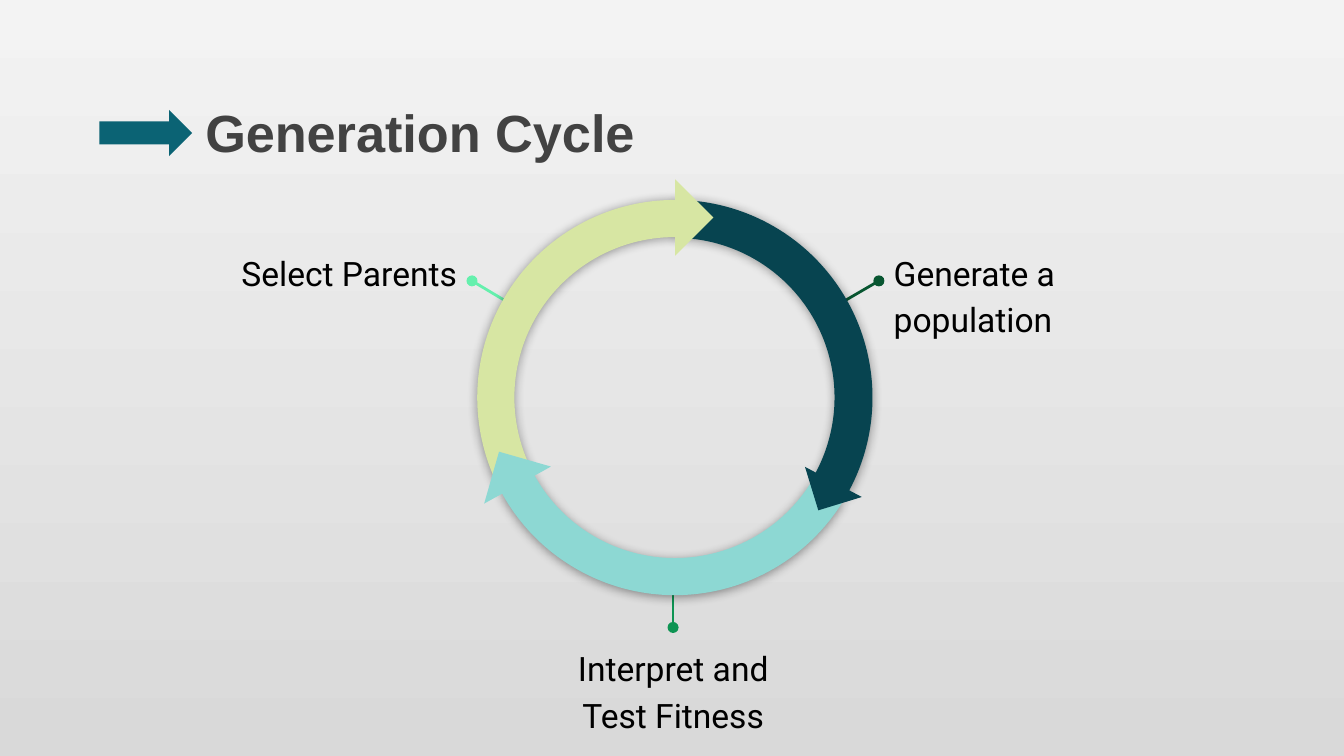
from lxml import etree
from pptx import Presentation
from pptx.dml.color import RGBColor
from pptx.enum.shapes import MSO_CONNECTOR, MSO_SHAPE
from pptx.enum.text import MSO_ANCHOR, PP_ALIGN
from pptx.oxml.ns import qn
from pptx.util import Cm, Pt

STRAIGHT = MSO_CONNECTOR.STRAIGHT
RIGHT_ARROW = MSO_SHAPE.RIGHT_ARROW
BLOCK_ARC = MSO_SHAPE.BLOCK_ARC
RIGHT_TRIANGLE = MSO_SHAPE.RIGHT_TRIANGLE
TOP = MSO_ANCHOR.TOP
LEFT, CENTER, RIGHT = PP_ALIGN.LEFT, PP_ALIGN.CENTER, PP_ALIGN.RIGHT

NAVY, LIME, AQUA = "074450", "D7E6A3", "8DD8D3"


def color(value):
    return RGBColor.from_string(value)


def add_filled(page, kind, box, fill, rotation=0):
    shape = page.shapes.add_shape(kind, *map(Cm, box))
    shape.shadow.inherit = False
    shape.fill.solid()
    shape.fill.fore_color.rgb = color(fill)
    shape.line.fill.background()
    shape.rotation = rotation
    return shape


def add_text(page, box, text, font, size, ink, align=LEFT, spacing=1.0, bold=False):
    frame = page.shapes.add_textbox(*map(Cm, box)).text_frame
    frame.word_wrap = True
    frame.vertical_anchor = TOP
    frame.margin_left = frame.margin_right = Cm(0.25)
    frame.margin_top = frame.margin_bottom = Cm(0.25)
    frame.text = text
    para = frame.paragraphs[0]
    para.alignment = align
    para.line_spacing = spacing
    span = para.runs[0]
    span.font.name = font
    span.font.size = Pt(size)
    span.font.bold = bold
    span.font.color.rgb = color(ink)


def add_soft_shadow(shape):
    effects = shape._element.spPr.find(qn("a:effectLst"))
    shadow = etree.SubElement(effects, qn("a:outerShdw"), blurRad=str(Pt(5.6)),
                              dist=str(Pt(0.8)), dir="5400000", rotWithShape="0")
    ink = etree.SubElement(shadow, qn("a:srgbClr"), val="000000")
    etree.SubElement(ink, qn("a:alpha"), val="40000")


def paint_background(page):
    fill = page.background.fill
    fill.gradient()
    fill.gradient_angle = 270
    for stop, shade in zip(fill.gradient_stops, ("F3F3F3", "D9D9D9")):
        stop.color.rgb = color(shade)


def add_heading(page, box, text):
    left, top, width, height = box
    add_filled(page, RIGHT_ARROW, (left, top + 0.43, 1.75, 0.87), "0B6374")
    add_text(page, (left + 1.75, top, width - 1.75, height), text,
             "Arial", 28, "424242", bold=True)


def add_callout(page, box, text, align, dot, tip, ink):
    left, top = box[:2]
    line = page.shapes.add_connector(STRAIGHT, Cm(left + dot[0]), Cm(top + dot[1]),
                                     Cm(left + tip[0]), Cm(top + tip[1]))
    line.line.color.rgb = color(ink)
    line.line.width = Pt(1.5)
    etree.SubElement(line.line._get_or_add_ln(), qn("a:headEnd"), type="oval")
    etree.SubElement(line._element.spPr, qn("a:effectLst"))
    add_text(page, box, text, "Roboto", 18, "000000", align, 1.15)


def add_cycle(page, box):
    left, top = box[:2]

    def add_arc(fill, rotation, adjustments, flipped):
        arc = add_filled(page, BLOCK_ARC, box, fill, rotation)
        for index, value in enumerate(adjustments):
            arc.adjustments[index] = value
        if flipped:
            arc._element.spPr.xfrm.set("flipH", "1")
        add_soft_shadow(arc)

    def add_head(fill, rotation, across, down, size):
        add_filled(page, RIGHT_TRIANGLE, (left + across, top + down, size, size),
                   fill, rotation)

    add_arc(NAVY, 30, (144.14, 0.01, 0.096), False)
    add_arc(LIME, 330, (143.49, 214.73, 0.094), True)
    add_head(LIME, 225, 3.23, -0.18, 1.02)
    add_arc(AQUA, 210, (143.16, 215.03, 0.094), True)
    add_head(NAVY, 342.9, 6.3, 4.9, 0.86)
    add_head(AQUA, 106, 0.25, 4.88, 1.02)


def main():
    deck = Presentation()
    deck.slide_width, deck.slide_height = Cm(25.4), Cm(14.29)
    page = deck.slides.add_slide(deck.slide_layouts[6])
    paint_background(page)
    add_heading(page, (1.88, 1.65, 21.28, 2.77), "Generation Cycle")
    callouts = (
        ((3.94, 4.42, 4.95, 1.85), "Select Parents", RIGHT,
         (4.98, 0.89), (6.17, 1.6), "65F0AD"),
        ((16.64, 4.42, 4.17, 1.85), "Generate a population", LEFT,
         (-0.03, 0.89), (-1.25, 1.6), "085631"),
        ((10.64, 11.89, 4.17, 1.85), "Interpret and Test Fitness", CENTER,
         (2.08, -0.03), (2.08, -1.3), "0E9453"),
    )
    for callout in callouts:
        add_callout(page, *callout)
    add_cycle(page, (9.02, 3.78, 7.47, 7.47))
    deck.save("out.pptx")


if __name__ == "__main__":
    main()
